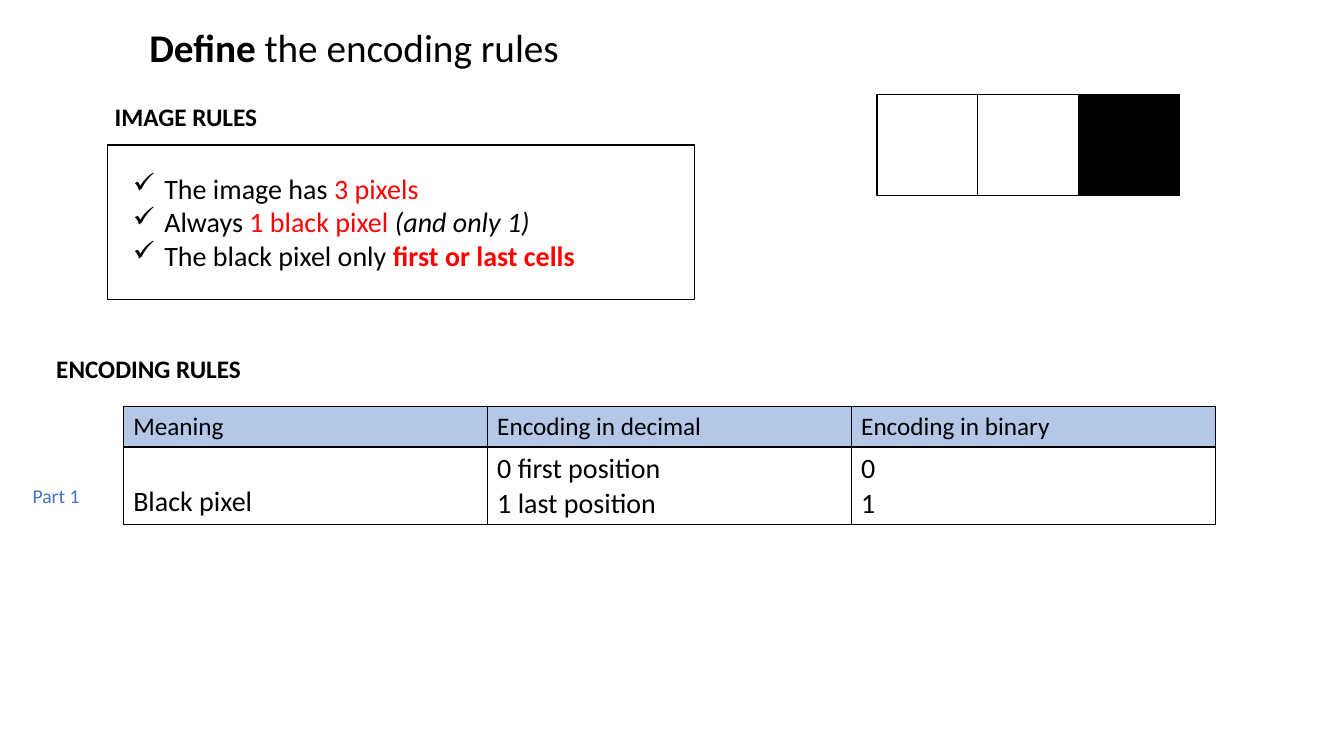
import pptx
import pptx.util
import pptx.dml.color
import pptx.enum.shapes
import pptx.enum.text
import pptx.oxml.ns
from dataclasses import dataclass
from lxml import etree

Pt = pptx.util.Pt
ANCHOR = pptx.enum.text.MSO_ANCHOR


@dataclass(frozen=True)
class Theme:
    font: str = "Calibri"
    black: str = "000000"
    white: str = "FFFFFF"
    red: str = "FF0000"
    blue: str = "4472C4"
    header: str = "B4C7E7"
    title: int = 28
    body: int = 20
    heading: int = 18
    label: int = 14
    line: int = 1


T = Theme()


def rgb(value):
    return pptx.dml.color.RGBColor.from_string(value)


def add_text(p, text, size=T.body, color=T.black, bold=False, italic=False):
    r = p.add_run()
    r.text = text
    r.font.name = T.font
    r.font.size = Pt(size)
    r.font.bold = bold
    r.font.italic = italic
    r.font.color.rgb = rgb(color)


def paragraphs(tf, count):
    return [tf.paragraphs[0]] + [tf.add_paragraph() for _ in range(count - 1)]


def add_title(s, box, runs):
    sp = s.shapes.title
    sp.left, sp.top, sp.width, sp.height = map(Pt, box)
    tf = sp.text_frame
    tf.auto_size = pptx.enum.text.MSO_AUTO_SIZE.NONE
    tf.vertical_anchor = ANCHOR.TOP
    p = tf.paragraphs[0]
    p.alignment = pptx.enum.text.PP_ALIGN.LEFT
    for text, style in runs:
        add_text(p, text, size=T.title, **style)


def add_label(s, box, text, **style):
    sp = s.shapes.add_textbox(*map(Pt, box))
    sp.text_frame.word_wrap = False
    add_text(sp.text_frame.paragraphs[0], text, **style)


def add_checklist(s, box, items, indent=22.5):
    sp = s.shapes.add_textbox(*map(Pt, box))
    tf = sp.text_frame
    tf.word_wrap = False
    for p, runs in zip(paragraphs(tf, len(items)), items):
        pPr = p._p.get_or_add_pPr()
        pPr.set("marL", str(Pt(indent)))
        pPr.set("indent", str(-Pt(indent)))
        etree.SubElement(pPr, pptx.oxml.ns.qn("a:buChar"), char="✓")
        for text, style in runs:
            add_text(p, text, **style)


def add_box(s, box, fill=None):
    sp = s.shapes.add_shape(pptx.enum.shapes.MSO_SHAPE.RECTANGLE, *map(Pt, box))
    sp.shadow.inherit = False
    sp.line.color.rgb = rgb(T.black)
    sp.line.width = Pt(T.line)
    if fill:
        sp.fill.solid()
        sp.fill.fore_color.rgb = rgb(fill)
    else:
        sp.fill.background()


def add_borders(cell):
    tcPr = cell._tc.get_or_add_tcPr()
    for side in ("lnL", "lnR", "lnT", "lnB"):
        ln = etree.SubElement(tcPr, pptx.oxml.ns.qn("a:" + side), w=str(Pt(T.line)))
        fill = etree.SubElement(ln, pptx.oxml.ns.qn("a:solidFill"))
        etree.SubElement(fill, pptx.oxml.ns.qn("a:srgbClr"), val=T.black)


def add_rules_table(s, box, heights, rows):
    table = s.shapes.add_table(len(rows), len(rows[0]), *map(Pt, box)).table
    table.first_row = False
    table.horz_banding = False
    for i, (height, row) in enumerate(zip(heights, rows)):
        table.rows[i].height = Pt(height)
        for j, lines in enumerate(row):
            cell = table.cell(i, j)
            cell.vertical_anchor = ANCHOR.BOTTOM if i else ANCHOR.TOP
            add_borders(cell)
            if i:
                cell.fill.background()
            else:
                cell.fill.solid()
                cell.fill.fore_color.rgb = rgb(T.header)
            for p, text in zip(paragraphs(cell.text_frame, len(lines)), lines):
                add_text(p, text, size=T.body if i else T.heading)


def main():
    prs = pptx.Presentation()
    prs.slide_width, prs.slide_height = Pt(960), Pt(540)
    s = prs.slides.add_slide(prs.slide_layouts[5])

    add_title(s, (99.4, 13, 324, 41), [
        ("Define", {"bold": True}),
        (" the encoding rules", {}),
    ])

    add_label(s, (74.9, 69.1, 117.4, 28.8), "IMAGE RULES", size=T.heading, bold=True)
    add_box(s, (77, 103.7, 419, 110.2))
    add_checklist(s, (87.8, 118.8, 330.5, 79.9), [
        [("The image has ", {}), ("3 pixels", {"color": T.red})],
        [("Always ", {}), ("1 black pixel", {"color": T.red}),
         (" (and only 1)", {"italic": True})],
        [("The black pixel only ", {}),
         ("first or last cells", {"color": T.red, "bold": True})],
    ])

    pixel = 72
    for i, color in enumerate((T.white, T.white, T.black)):
        add_box(s, (626.4 + i * pixel, 67.7, pixel, pixel), fill=color)

    add_label(s, (33.1, 249.1, 148.3, 28.8), "ENCODING RULES", size=T.heading, bold=True)
    add_label(s, (16.2, 342, 48.2, 24.5), "Part 1", size=T.label, color=T.blue)
    add_rules_table(s, (88, 290.5, 780, 84.2), (28.8, 55.4), [
        [["Meaning"], ["Encoding in decimal"], ["Encoding in binary"]],
        [["Black pixel"], ["0 first position", "1 last position"], ["0", "1"]],
    ])

    prs.save("out.pptx")


if __name__ == "__main__":
    main()
